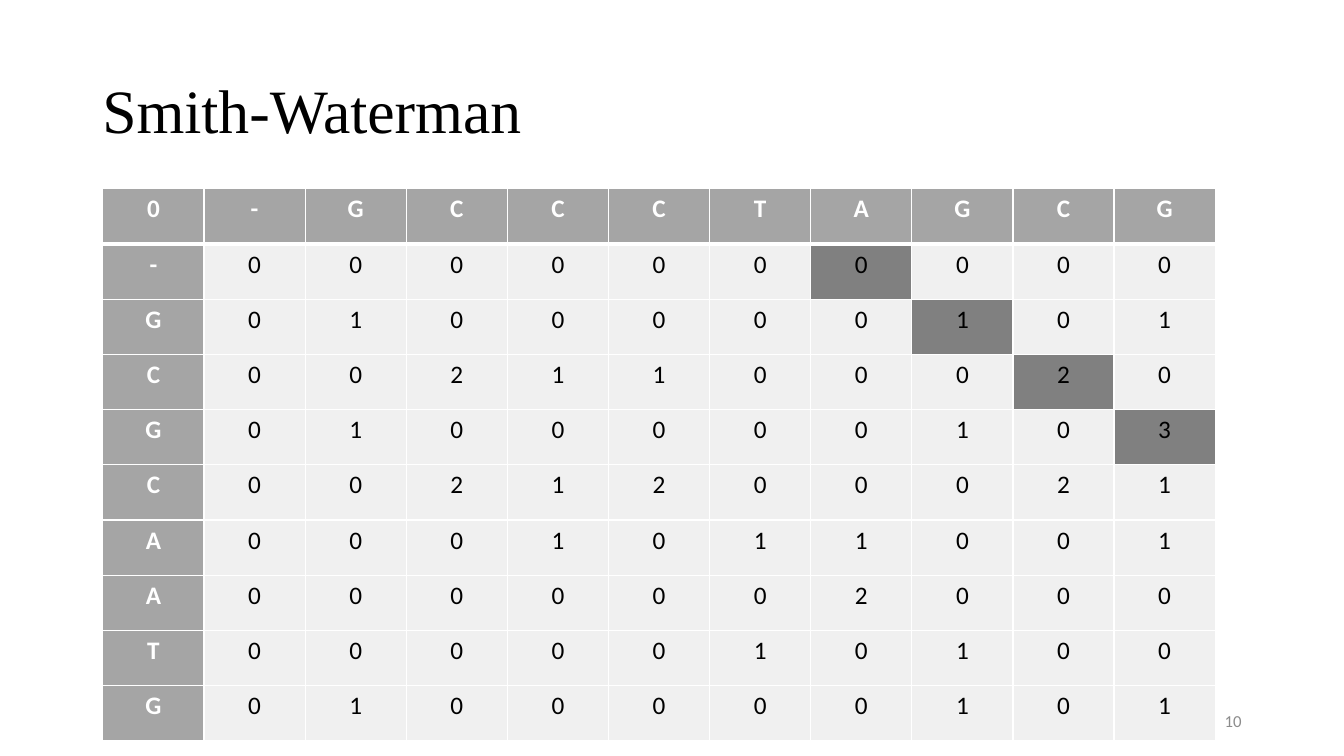
from lxml import etree
from pptx import Presentation
from pptx.dml.color import RGBColor
from pptx.enum import text
from pptx.oxml import ns
from pptx.util import Pt

INK = {"black": "000000", "white": "FFFFFF", "head": "A5A5A5",
       "cell": "F0F0F0", "trace": "808080", "page": "8C8C8C"}

# Alignment scores: letters across, then one row per letter down
ACROSS = "0-GCCCTAGCG"
SCORES = [
    "-0000000000",
    "G0100000101",
    "C0021100020",
    "G0100000103",
    "C0021200021",
    "A0001011001",
    "A0000002000",
    "T0000010100",
    "G0100000101",
]
SHIFT = 6  # the traced diagonal lies this many columns right of the row


class Deck:
    sans = "Calibri"
    serif = "Times New Roman"

    def __init__(self, wide, high):
        self.prs = Presentation()
        self.prs.slide_width, self.prs.slide_height = Pt(wide), Pt(high)
        self.slide = self.prs.slides.add_slide(self.prs.slide_layouts[6])

    def style(self, para, face, size, ink, align, bold=False):
        para.alignment = align
        font = para.font
        font.name, font.size, font.bold = face, Pt(size), bold
        font.color.rgb = RGBColor.from_string(INK[ink])

    def label(self, words, box, face, size, ink, align):
        frame = self.slide.shapes.add_textbox(*map(Pt, box)).text_frame
        frame.word_wrap = True
        frame.vertical_anchor = text.MSO_ANCHOR.MIDDLE
        para = frame.paragraphs[0]
        para.text = words
        self.style(para, face, size, ink, align)
        return para

    def border(self, cell, side, width):
        props = cell._tc.get_or_add_tcPr()
        line = etree.SubElement(props, ns.qn("a:ln" + side), w=str(Pt(width)))
        fill = etree.SubElement(line, ns.qn("a:solidFill"))
        etree.SubElement(fill, ns.qn("a:srgbClr"), val=INK["white"])

    def cell(self, cell, mark, row, col):
        head = row == 0 or col == 0
        cell.text = mark
        self.style(cell.text_frame.paragraphs[0], self.sans, 18,
                   "white" if head else "black", text.PP_ALIGN.CENTER, head)
        # The rule under the top row is thicker
        thick = {(0, "B"), (1, "T")}
        for side in "LRTB":
            self.border(cell, side, 3 if (row, side) in thick else 1)
        fill = "head" if head else "trace" if col - row == SHIFT else "cell"
        cell.fill.solid()
        cell.fill.fore_color.rgb = RGBColor.from_string(INK[fill])

    def grid(self, rows, left, top, wide, high):
        count = len(rows[0])
        table = self.slide.shapes.add_table(
            len(rows), count, Pt(left), Pt(top),
            Pt(wide * count), Pt(high * len(rows))).table
        for col in table.columns:
            col.width = Pt(wide)
        for r, marks in enumerate(rows):
            table.rows[r].height = Pt(high)
            for c, mark in enumerate(marks):
                self.cell(table.cell(r, c), mark, r, c)


def main():
    deck = Deck(960, 540)

    # Title
    title = deck.label("Smith-Waterman", (66, 28.75, 828, 104.4),
                       deck.serif, 44, "black", text.PP_ALIGN.LEFT)
    title.line_spacing = 0.9

    # Page number
    deck.label("10", (678, 500.5, 216, 28.75),
               deck.sans, 12, "page", text.PP_ALIGN.RIGHT)

    # Score matrix
    deck.grid([ACROSS] + SCORES, 73.5, 134.9, 72.25, 39.45)

    deck.prs.save("out.pptx")


if __name__ == "__main__":
    main()
